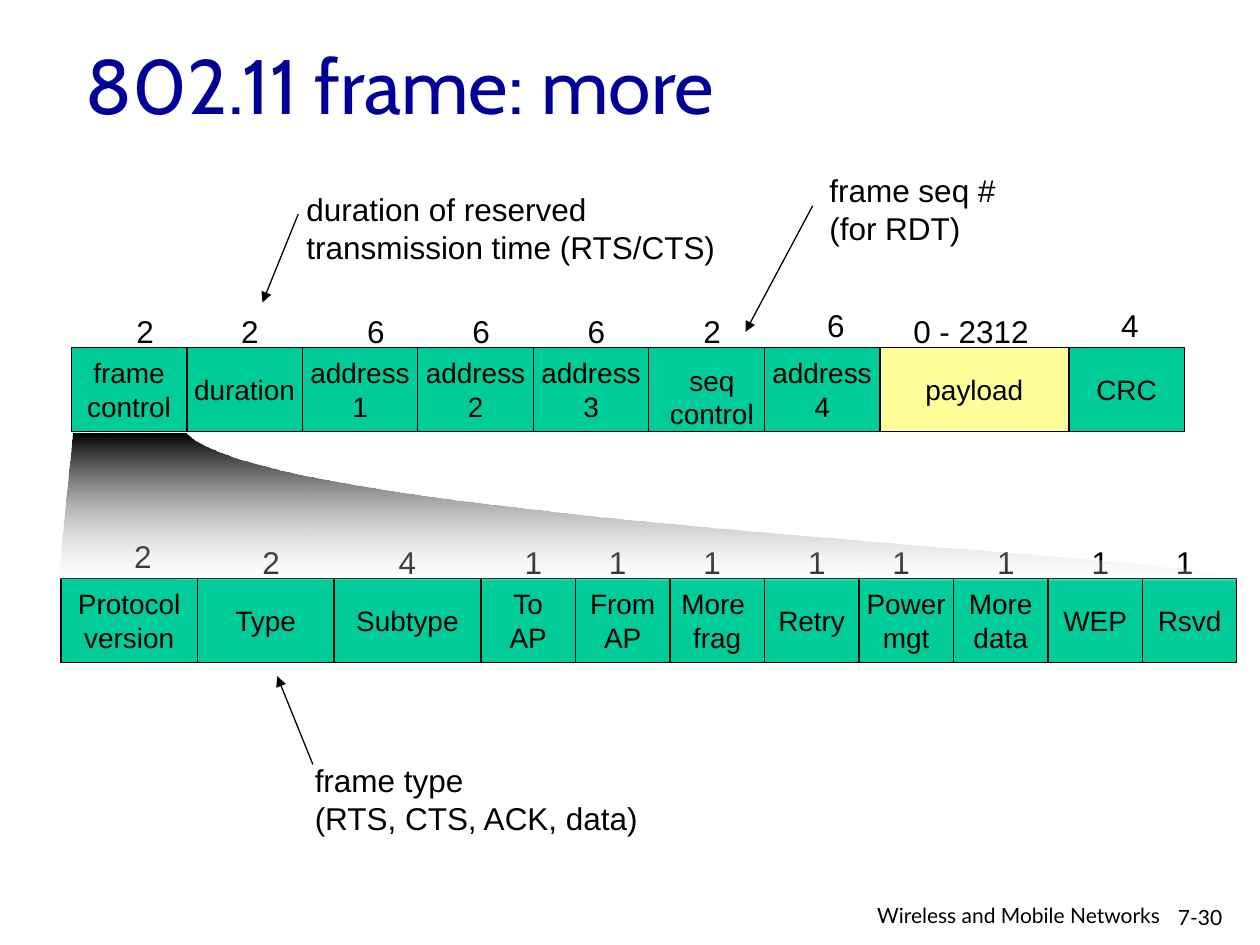
from lxml import etree
from pptx import Presentation, util as u
from pptx.dml.color import RGBColor
from pptx.enum import shapes, text
from pptx.oxml import ns

GREEN = RGBColor(0x00, 0xCC, 0x99)
YELLOW = RGBColor(0xFF, 0xFF, 0x99)
BLACK = RGBColor(0x00, 0x00, 0x00)
WHITE = RGBColor(0xFF, 0xFF, 0xFF)
NAVY = RGBColor(0x00, 0x00, 0x99)

deck = Presentation()
deck.slide_width, deck.slide_height = u.Inches(10), u.Inches(7.5)
slide = deck.slides.add_slide(deck.slide_layouts[6])
draw = slide.shapes
UNIT = deck.slide_width / 120
LEFT, MID, RIGHT = text.PP_ALIGN.LEFT, text.PP_ALIGN.CENTER, text.PP_ALIGN.RIGHT


def grid(*nums):
    return [round(n * UNIT) for n in nums]


def write(shape, words, size=18, face="Arial", color=BLACK, align=LEFT,
          wrap=False, anchor=text.MSO_ANCHOR.TOP, fit=text.MSO_AUTO_SIZE.NONE):
    frame = shape.text_frame
    frame.text = words
    body = {"word_wrap": wrap, "vertical_anchor": anchor, "auto_size": fit}
    for key, val in body.items():
        setattr(frame, key, val)
    for para in frame.paragraphs:
        para.alignment = align
        for run in para.runs:
            for key, val in {"name": face, "size": u.Pt(size)}.items():
                setattr(run.font, key, val)
            run.font.color.rgb = color


GROW = {"fit": text.MSO_AUTO_SIZE.SHAPE_TO_FIT_TEXT}
HIGH = 8
bands = [
    (6.8, 33.1,
     [("frame\ncontrol", 11), ("duration", 11), ("address\n1", 11),
      ("address\n2", 11), ("address\n3", 11), ("", 11),
      ("address\n4", 11), ("payload", 18), ("CRC", 11)],
     [("2", 5, 4), ("2", 15, 4), ("6", 27, 4), ("6", 37, 4), ("6", 48, 4),
      ("2", 59, 4), ("6", 70.8, 4.5), ("0 - 2312", 79, 4), ("4", 98.8, 4.5)]),
    (5.8, 55.1,
     [("Protocol\nversion", 13), ("Type", 13), ("Subtype", 14), ("To\nAP", 9),
      ("From\nAP", 9), ("More \nfrag", 9), ("Retry", 9), ("Power\nmgt", 9),
      ("More\ndata", 9), ("WEP", 9), ("Rsvd", 9)],
     [("2", 5.8, 4.5), ("2", 18, 4), ("4", 31, 4), ("1", 43, 4), ("1", 51, 4),
      ("1", 60, 4), ("1", 70, 4), ("1", 78, 4), ("1", 88, 4), ("1", 97, 4),
      ("1", 105, 4)]),
]
for left, top, cells, sizes in bands:
    x = left
    for name, wide in cells:
        box = draw.add_shape(shapes.MSO_SHAPE.RECTANGLE, *grid(x, top, wide, HIGH))
        box.shadow.inherit = False
        box.fill.solid()
        box.fill.fore_color.rgb = YELLOW if name == "payload" else GREEN
        box.line.color.rgb = BLACK
        box.line.width = u.Pt(0.75)
        if name:
            write(box, name, 16, align=MID, anchor=text.MSO_ANCHOR.MIDDLE)
        x += wide
    for size, col, lift in sizes:
        wide = 4.1 if len(size) == 1 else 13.4
        box = draw.add_textbox(*grid(left + col, top - lift, wide, 4.8))
        write(box, size, **GROW)

label = draw.add_textbox(*grid(62.6, 34, 10.4, 7.7))
write(label, "seq\ncontrol", 16, align=MID, **GROW)

curves = [
    [(117.9, 55.3), (120, 52.9), (25.9, 49.8), (17.8, 41.3)],
    [(17.8, 41.3), (8.8, 41.3), (9.2, 41.3), (7, 41.3)],
]
edge = [(5.6, 55.1), (117.9, 55.3)]
STEPS = 40
for a, b, c, d in curves:
    for step in range(1, STEPS + 1):
        t = step / STEPS
        s = 1 - t
        edge.append([s**3 * p + 3 * s * s * t * q + 3 * s * t * t * r + t**3 * e
                     for p, q, r, e in zip(a, b, c, d)])
pen = draw.build_freeform(*grid(7, 41.3))
pen.add_line_segments([grid(*spot) for spot in edge], close=True)
fan = pen.convert_to_shape()
fan.shadow.inherit = False
fan.line.fill.background()
fan.fill.gradient()
fan.fill.gradient_angle = 270
for stop, color, pos in zip(fan.fill.gradient_stops, (BLACK, WHITE), (0, 1)):
    stop.color.rgb = color
    stop.position = pos
tint = fan.fill._fill._gradFill.findall(".//" + ns.qn("a:srgbClr"))[-1]
etree.SubElement(tint, ns.qn("a:alpha")).set("val", "18000")

notes = [
    ("duration of reserved\ntransmission time (RTS/CTS)", (28, 17.5, 41.8, 8.5),
     (28.4, 20.4, 25, 28.8)),
    ("frame seq #\n(for RDT)", (77.8, 15.7, 18.4, 8.5), (77.4, 19.6, 71, 31.6)),
    ("frame type\n(RTS, CTS, ACK, data)", (28.8, 71.9, 33.8, 8.5),
     (29.8, 72.8, 26.4, 64.4)),
]
for words, place, ends in notes:
    write(draw.add_textbox(*grid(*place)), words, **GROW)
    arrow = draw.add_connector(shapes.MSO_CONNECTOR.STRAIGHT, *grid(*ends))
    arrow.line.color.rgb = BLACK
    arrow.line.width = u.Pt(0.75)
    tip = etree.SubElement(arrow.line._get_or_add_ln(), ns.qn("a:tailEnd"))
    tip.set("type", "triangle")
    etree.SubElement(arrow._element.spPr, ns.qn("a:effectLst"))

lines = [
    ("802.11 frame: more", (7, 3, 102, 15), 44, "Cabin", NAVY, LEFT),
    ("7-30", (111, 85.6, 9, 3.6), 12, "Lato", BLACK, LEFT),
    ("Wireless and Mobile Networks ", (76.8, 85.4, 35.4, 3.4), 12, "Lato", BLACK, RIGHT),
]
for words, place, *style in lines:
    write(draw.add_textbox(*grid(*place)), words, *style, wrap=True)

deck.save("out.pptx")
